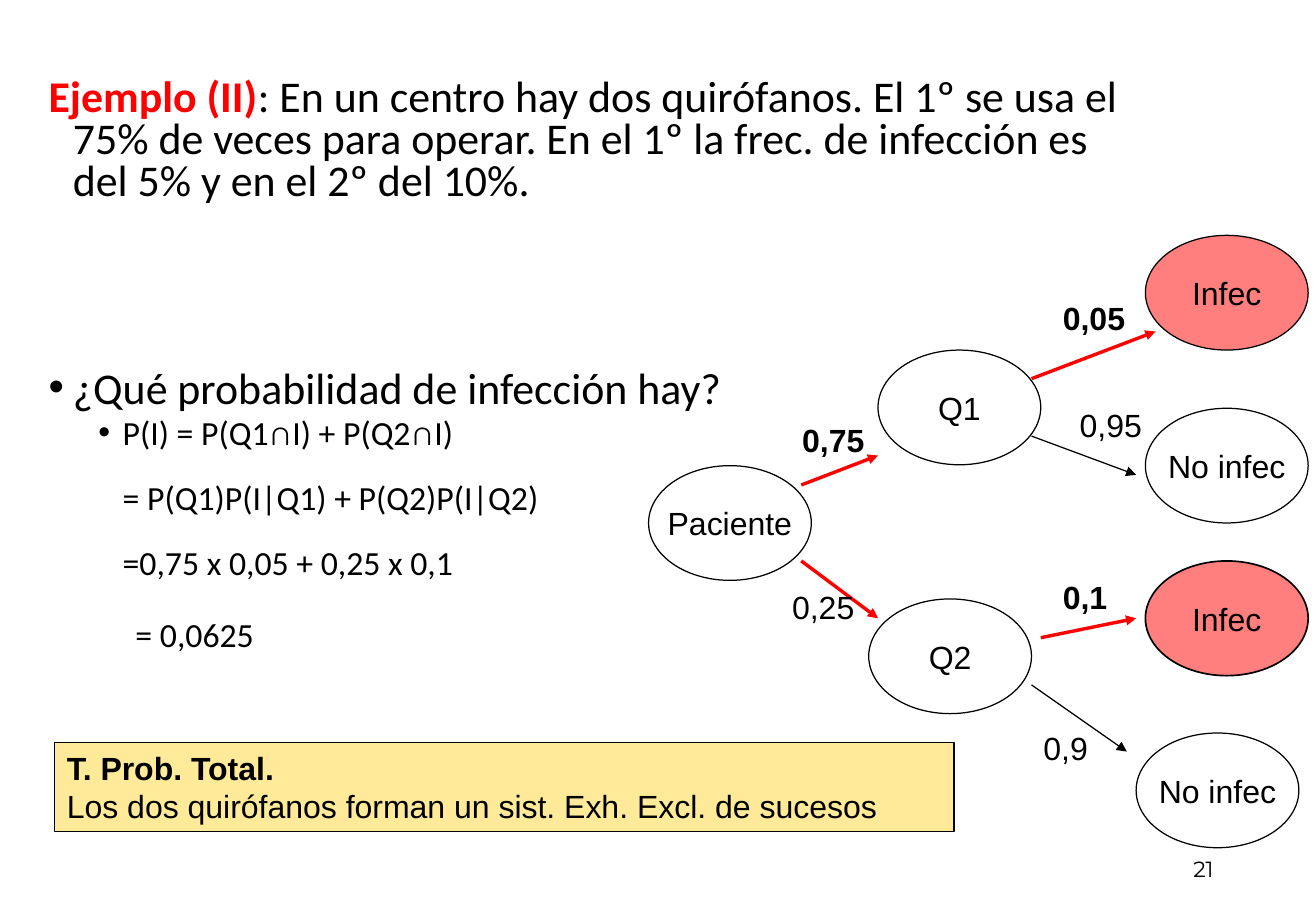
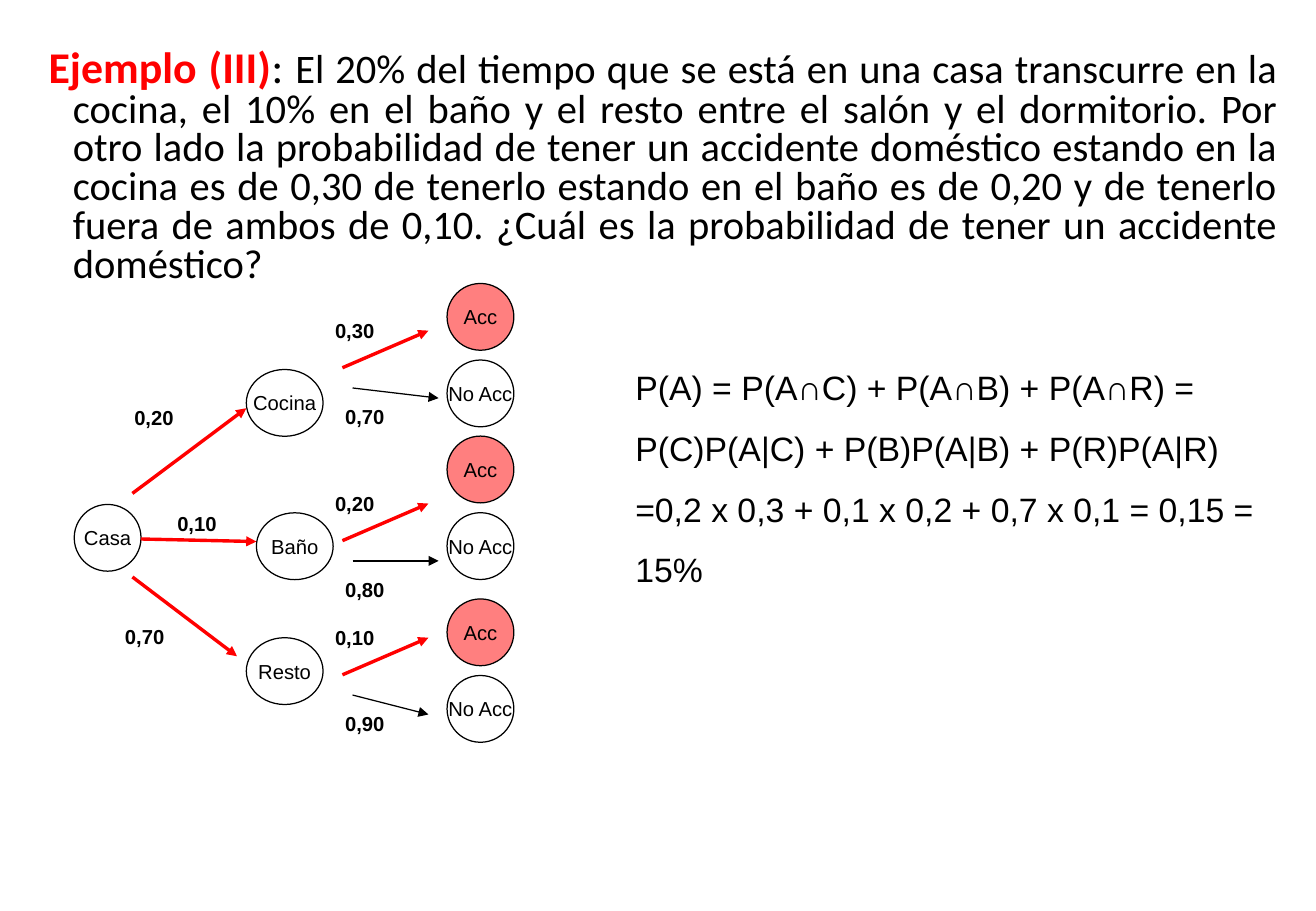
import dataclasses

import pptx
import pptx.dml.color
import pptx.enum.shapes
import pptx.enum.text
import pptx.oxml
import pptx.oxml.ns
import pptx.util
from lxml import etree

Pt = pptx.util.Pt
qn = pptx.oxml.ns.qn
Align = pptx.enum.text.PP_ALIGN
Anchor = pptx.enum.text.MSO_ANCHOR
Shape = pptx.enum.shapes.MSO_SHAPE


@dataclasses.dataclass(frozen=True)
class Theme:
    ink: str = "000000"
    accent: str = "FF0000"
    note: str = "FFCC00"
    text_font: str = "Calibri"
    diagram_font: str = "Arial"
    number_font: str = "Montserrat"
    lead_size: float = 26
    statement_size: float = 24
    formula_size: float = 20
    diagram_size: float = 19
    number_size: float = 13
    small_size: float = 12
    thin: float = 0.75
    thick: float = 2
    tight: float = 0.8


THEME = Theme()


def assign(target, values):
    for name, value in values.items():
        setattr(target, name, value)


def rgb(code):
    return pptx.dml.color.RGBColor.from_string(code)


def place(shape, left, top, width, height):
    assign(shape, {"left": Pt(left), "top": Pt(top), "width": Pt(width), "height": Pt(height)})


class SlideWriter:
    def __init__(self, deck, theme):
        self.deck = deck
        self.theme = theme
        self.page = None

    def new_page(self, layout):
        self.page = self.deck.slides.add_slide(self.deck.slide_layouts[layout])

    def frame(self, shape, anchor=Anchor.TOP, wrap=True):
        box = shape.text_frame
        assign(box, {
            "word_wrap": wrap, "vertical_anchor": anchor,
            "auto_size": pptx.enum.text.MSO_AUTO_SIZE.NONE,
            "margin_left": Pt(7.2), "margin_right": Pt(7.2),
            "margin_top": Pt(3.6), "margin_bottom": Pt(3.6)})
        return box

    def span(self, para, text, size, font=None, color=None, bold=False):
        span = para.add_run()
        span.text = text
        assign(span.font, {"size": Pt(size), "bold": bold,
                           "name": font or self.theme.diagram_font})
        span.font.color.rgb = rgb(color or self.theme.ink)

    def indent(self, para, left, first=0, bullet=None):
        properties = para._p.get_or_add_pPr()
        properties.set("marL", str(Pt(left)))
        properties.set("indent", str(Pt(first)))
        if bullet:
            etree.SubElement(properties, qn("a:buFont")).set("typeface", "Arial")
            etree.SubElement(properties, qn("a:buChar")).set("char", bullet)
        else:
            etree.SubElement(properties, qn("a:buNone"))

    def statement(self, area, lead, text, size, align):
        """Fill the title with a red lead-in and the wording of the exercise."""
        title = self.page.shapes.title
        place(title, *area)
        para = self.frame(title).paragraphs[0]
        self.indent(para, 14.4, -14.4)
        assign(para, {"alignment": align, "line_spacing": self.theme.tight})
        font = self.theme.text_font
        self.span(para, lead, self.theme.lead_size, font, self.theme.accent, True)
        self.span(para, ": ", self.theme.lead_size, font)
        self.span(para, text, size, font)

    def steps(self, area, lines):
        """Fill the body; a line is (text, size, level, left, first, bullet, space before)."""
        body = self.page.placeholders[1]
        place(body, *area)
        box = self.frame(body)
        for index, (text, size, level, left, first, bullet, before) in enumerate(lines):
            para = box.add_paragraph() if index else box.paragraphs[0]
            self.indent(para, left, first, bullet)
            assign(para, {"level": level, "alignment": Align.LEFT,
                          "line_spacing": self.theme.tight, "space_before": Pt(before)})
            self.span(para, text, size, self.theme.text_font)

    def text(self, area, text, size, font=None, bold=False, anchor=Anchor.TOP, left=0, **layout):
        shape = self.page.shapes.add_textbox(*map(Pt, area))
        para = self.frame(shape, anchor).paragraphs[0]
        self.indent(para, left)
        assign(para, layout)
        self.span(para, text, size, font, bold=bold)

    def outline(self, kind, area, fill=None, opacity=100, line=None):
        shape = self.page.shapes.add_shape(kind, *map(Pt, area))
        shape.shadow.inherit = False
        if fill:
            shape.fill.solid()
            shape.fill.fore_color.rgb = rgb(fill)
            color = shape.element.spPr.find(".//" + qn("a:srgbClr"))
            etree.SubElement(color, qn("a:alpha")).set("val", str(opacity * 1000))
        else:
            shape.fill.background()
        shape.line.color.rgb = rgb(self.theme.ink)
        shape.line.width = Pt(line or self.theme.thin)
        return shape

    def node(self, area, text, size, hit=False, line=None):
        shape = self.outline(Shape.OVAL, area, self.theme.accent if hit else None, 50, line)
        para = self.frame(shape, Anchor.MIDDLE, wrap=False).paragraphs[0]
        para.alignment = Align.CENTER
        self.span(para, text, size)

    def note(self, area, heading, text):
        box = self.frame(self.outline(Shape.RECTANGLE, area, self.theme.note, 40))
        for para, words, bold in ((box.paragraphs[0], heading, True),
                                  (box.add_paragraph(), text, False)):
            para.alignment = Align.LEFT
            self.span(para, words, self.theme.diagram_size, bold=bold)

    def arrow(self, start, end, hit=False):
        arrow = self.page.shapes.add_connector(
            pptx.enum.shapes.MSO_CONNECTOR.STRAIGHT, *map(Pt, (*start, *end)))
        arrow.line.color.rgb = rgb(self.theme.accent if hit else self.theme.ink)
        arrow.line.width = Pt(self.theme.thick if hit else self.theme.thin)
        etree.SubElement(arrow.line._get_or_add_ln(), qn("a:tailEnd")).set("type", "triangle")
        etree.SubElement(arrow.element.spPr, qn("a:effectLst"))


def operating_rooms(writer):
    theme = writer.theme
    writer.new_page(1)
    writer.statement(
        (21.6, 43.2, 669, 90), "Ejemplo (II)",
        "En un centro hay dos quirófanos. El 1º se usa el 75% de veces para operar. "
        "En el 1º la frec. de infección es del 5% y en el 2º del 10%.",
        theme.lead_size, Align.LEFT)
    size = theme.formula_size
    writer.steps((21.6, 216, 669, 201.5), [
        ("¿Qué probabilidad de infección hay?", theme.lead_size, 0, 14.4, -14.4, "•", 0),
        ("P(I) = P(Q1∩I) + P(Q2∩I)", size, 1, 43.9, -14.4, "•", 4),
        ("= P(Q1)P(I|Q1) + P(Q2)P(I|Q2)", size, 1, 43.9, 0, None, 19.5),
        ("=0,75 x 0,05 + 0,25 x 0,1", size, 1, 43.9, 0, None, 19.5),
        ("= 0,0625", size, 1, 51.5, 0, None, 23.5)])
    writer.text((551, 500.5, 175.5, 29), "21", theme.number_size, theme.number_font,
                anchor=Anchor.MIDDLE, alignment=Align.RIGHT)
    writer.note((32.5, 440, 533, 53), "T. Prob. Total.",
                "Los dos quirófanos forman un sist. Exh. Excl. de sucesos")

    for text, left, top, hit, line in (
            ("Paciente", 384.5, 276, False, None), ("Q1", 520.5, 207.5, False, None),
            ("Q2", 515, 355, False, None), ("Infec", 679, 139.5, True, None),
            ("No infec", 679, 242, False, None), ("Infec", 679, 332.5, True, 1),
            ("No infec", 673.5, 434.5, False, None)):
        writer.node((left, top, 96.5, 68), text, theme.diagram_size, hit, line)
    for start, end, hit in (
            ((475, 287.5), (520.5, 270), True), ((475, 332.5), (520.5, 366.5), True),
            ((611.5, 224.5), (685, 196.5), True), ((611.5, 258.5), (673.5, 281.5), False),
            ((617, 378), (673.5, 366.5), True), ((611.5, 406), (668, 445.5), False)):
        writer.arrow(start, end, hit)
    for text, left, top, width, bold in (
            ("0,75", 468.5, 245.5, 52, True), ("0,05", 623, 173.5, 52, True),
            ("0,1", 623, 338.5, 41, True), ("0,25", 462.5, 344.5, 52, False),
            ("0,9", 611.5, 428.5, 41, False), ("0,95", 633, 237, 52, False)):
        writer.text((left, top, width, 30), text, theme.diagram_size, bold=bold)


def home_accidents(writer):
    theme = writer.theme
    writer.new_page(5)
    writer.statement(
        (21.6, 26, 743, 146), "Ejemplo (III)",
        "El 20% del tiempo que se está en una casa transcurre en la cocina, el 10% en el baño "
        "y el resto entre el salón y el dormitorio. Por otro lado la probabilidad de tener un "
        "accidente doméstico estando en la cocina es de 0,30 de tenerlo estando en el baño es "
        "de 0,20 y de tenerlo fuera de ambos de 0,10. ¿Cuál es la probabilidad de tener un "
        "accidente doméstico?", theme.statement_size, Align.JUSTIFY)
    size = theme.small_size

    def label(text, left, top):
        writer.text((left, top, 65.5, 21.5), text, size, bold=True)

    writer.node((44, 299, 39.6, 39.6), "Casa", size)
    # room, its corner, trunk start and end, trunk label, accident top, fork, last arrow end
    for (room, corner, start, end, chance, chance_at,
         accident_top, fork, miss_end, hit_chance, miss_chance) in (
            ("Cocina", (146, 219), (78.5, 292.5), (146, 242), "0,20", (72.5, 236.5),
             168, 218, (260, 236), "0,30", "0,70"),
            ("Baño", (152, 304), (83.5, 319.5), (152, 321), "0,10", (98, 299.5),
             258.5, 320.5, (260, 332.5), "0,20", "0,80"),
            ("Resto", (146, 378), (78.5, 342), (140.5, 389), "0,70", (67, 366.5),
             355, 400, (254, 423.5), "0,10", "0,90")):
        writer.node((*corner, 45.5, 39.6), room, size)
        writer.arrow(start, end, True)
        label(chance, *chance_at)
        writer.node((265, accident_top, 39.6, 39.6), "Acc", size, True)
        writer.node((265, accident_top + 45.4, 39.6, 39.6), "No Acc", size)
        writer.arrow((203, fork), (254, fork - 22), True)
        writer.arrow((209, fork + 12), miss_end)
        label(hit_chance, 191.5, fork - 33)
        label(miss_chance, 197.5, fork + 18)

    writer.text((333.5, 202, 431, 151),
                "P(A) = P(A∩C) + P(A∩B) + P(A∩R) = P(C)P(A|C) + P(B)P(A|B) + P(R)P(A|R) "
                "=0,2 x 0,3 + 0,1 x 0,2 + 0,7 x 0,1 = 0,15 = 15%",
                theme.formula_size, left=36, line_spacing=1.5)


def main():
    deck = pptx.Presentation()
    assign(deck, {"slide_width": Pt(780.12), "slide_height": Pt(540)})
    writer = SlideWriter(deck, THEME)
    operating_rooms(writer)
    home_accidents(writer)
    deck.save("out.pptx")


if __name__ == "__main__":
    main()
